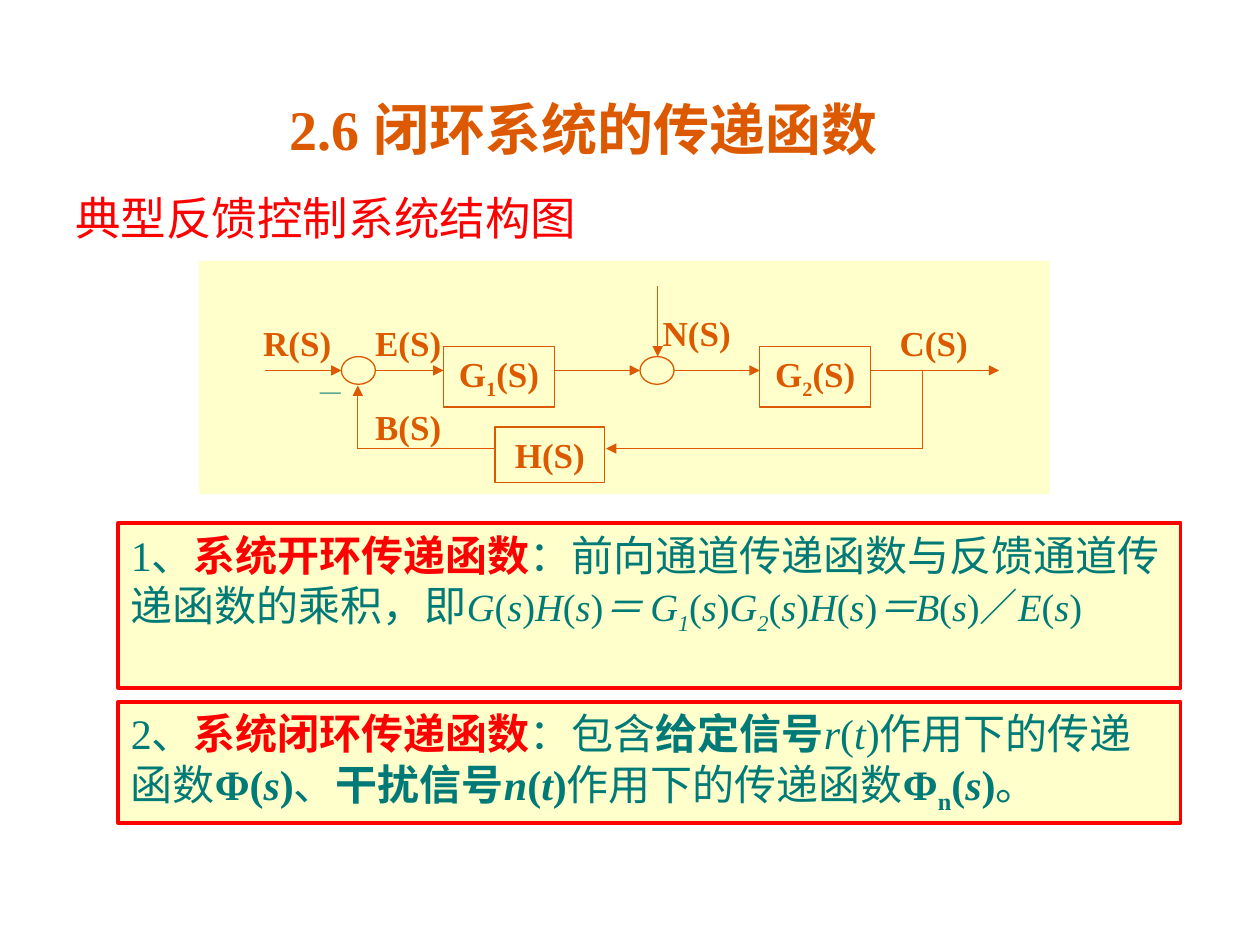
from itertools import groupby
from typing import NamedTuple

from lxml import etree
from pptx import Presentation
from pptx.dml.color import RGBColor
from pptx.enum.shapes import MSO_CONNECTOR, MSO_SHAPE
from pptx.enum.text import MSO_ANCHOR, MSO_AUTO_SIZE, PP_ALIGN
from pptx.oxml.ns import qn
from pptx.util import Inches, Pt

RECT, OVAL = MSO_SHAPE.RECTANGLE, MSO_SHAPE.OVAL
STRAIGHT = MSO_CONNECTOR.STRAIGHT
LEFT, CENTER = PP_ALIGN.LEFT, PP_ALIGN.CENTER
TOP, GROW = MSO_ANCHOR.TOP, MSO_AUTO_SIZE.SHAPE_TO_FIT_TEXT

ORANGE = RGBColor(0xDC, 0x59, 0x00)
RED = RGBColor(0xFF, 0x00, 0x00)
TEAL = RGBColor(0x00, 0x7A, 0x77)
CREAM = RGBColor(0xFF, 0xFF, 0xCC)
SERIF = "Times New Roman"


class Run(NamedTuple):
    text: str
    size: float = 24
    color: RGBColor = TEAL
    bold: bool = False
    italic: bool = False
    sub: bool = False
    font: str = SERIF


class Area(NamedTuple):
    x: float
    y: float
    w: float
    h: float


class Arrow(NamedTuple):
    x1: float
    y1: float
    x2: float
    y2: float
    head: bool = True


def math(text: str, size: float = 24, bold: bool = False) -> list[Run]:
    """Slanted letters, upright brackets and lowered digits."""
    def kind(c: str) -> tuple[bool, bool]:
        return c not in "()／Φ", c.isdigit()

    return [Run("".join(part), size, bold=bold, italic=slant, sub=low)
            for (slant, low), part in groupby(text, kind)]


def label(text: str) -> list[Run]:
    """Block diagram lettering with lowered digits."""
    return [Run("".join(part), 20, ORANGE, True, sub=low)
            for low, part in groupby(text, str.isdigit)]


def write(shape, runs: list[Run], align=LEFT, wrap: bool = True) -> None:
    frame = shape.text_frame
    for key, value in {"word_wrap": wrap, "auto_size": GROW,
                       "vertical_anchor": TOP}.items():
        setattr(frame, key, value)
    para = frame.paragraphs[0]
    para.alignment = align
    for item in runs:
        run = para.add_run()
        run.text = item.text
        look = {"name": item.font, "size": Pt(item.size),
                "bold": item.bold, "italic": item.italic}
        for key, value in look.items():
            setattr(run.font, key, value)
        run.font.color.rgb = item.color
        if item.sub:
            run._r.get_or_add_rPr().set("baseline", "-25000")


def draw(slide, form, area: Area, fill=None, line=None, width: float = 0.75):
    shape = slide.shapes.add_shape(form, *map(Inches, area))
    shape.shadow.inherit = False
    if fill is None:
        shape.fill.background()
    else:
        shape.fill.solid()
        shape.fill.fore_color.rgb = fill
    if line is None:
        shape.line.fill.background()
    else:
        shape.line.color.rgb = line
        shape.line.width = Pt(width)
    return shape


def note(slide, area: Area, runs: list[Run], align=LEFT, wrap: bool = True) -> None:
    write(slide.shapes.add_textbox(*map(Inches, area)), runs, align, wrap)


def link(slide, arrow: Arrow) -> None:
    line = slide.shapes.add_connector(STRAIGHT, *map(Inches, arrow[:4]))
    line.line.color.rgb = ORANGE
    line.line.width = Pt(0.75)
    if arrow.head:
        etree.SubElement(line.line._get_or_add_ln(), qn("a:tailEnd"), type="triangle")
    etree.SubElement(line._element.spPr, qn("a:effectLst"))


# Signal path heights and the places of its turns
MAIN, BACK = 2.94, 3.56
SUM, NOISE, TAP = 2.84, 5.22, 7.32

BLOCKS = [
    ("G1(S)", Area(3.52, 2.75, 0.88, 0.48)),
    ("G2(S)", Area(6.03, 2.75, 0.88, 0.48)),
    ("H(S)", Area(3.93, 3.39, 0.87, 0.44)),
]
ARROWS = [
    Arrow(2.1, MAIN, 2.71, MAIN),
    Arrow(2.98, MAIN, 3.52, MAIN),
    Arrow(4.4, MAIN, 5.08, MAIN),
    Arrow(NOISE, 2.27, NOISE, 2.83),
    Arrow(5.35, MAIN, 6.03, MAIN),
    Arrow(6.91, MAIN, 7.93, MAIN),
    Arrow(TAP, MAIN, TAP, BACK, False),
    Arrow(TAP, BACK, 4.81, BACK),
    Arrow(3.93, BACK, SUM, BACK, False),
    Arrow(SUM, BACK, SUM, 3.06),
]
SIGNALS = [
    ("N(S)", 5.01, 2.42, CENTER),
    ("R(S)", 1.99, 2.5, LEFT),
    ("C(S)", 6.89, 2.5, CENTER),
    ("B(S)", 2.72, 3.17, CENTER),
    ("E(S)", 2.72, 2.5, CENTER),
]
OPEN = [
    Run("1、"), Run("系统开环传递函数", color=RED, bold=True),
    Run("：前向通道传递函数与反馈通道传递函数的乘积，即"),
    *math("G(s)H(s)＝ G1(s)G2(s)H(s)＝B(s)／E(s)", 22),
]
CLOSED = [
    Run("2、"), Run("系统闭环传递函数", color=RED, bold=True),
    Run("：包含"), Run("给定信号", bold=True),
    *math("r(t)"), Run("作用下的传递函数"),
    *math("Φ(s)", bold=True), Run("、"), Run("干扰信号", bold=True),
    *math("n(t)", bold=True), Run("作用下的传递函数"),
    Run("Φ", bold=True), Run("n", bold=True, sub=True),
    *math("(s)", bold=True), Run("。"),
]


def main() -> None:
    deck = Presentation()
    deck.slide_width, deck.slide_height = Inches(10), Inches(7.5)
    slide = deck.slides.add_slide(deck.slide_layouts[6])

    # Block diagram
    draw(slide, RECT, Area(1.58, 2.07, 6.75, 1.85), CREAM)
    for arrow in ARROWS:
        link(slide, arrow)
    for x in (2.71, 5.08):
        draw(slide, OVAL, Area(x, 2.83, 0.27, 0.22), line=ORANGE)
    for text, area in BLOCKS:
        write(draw(slide, RECT, area, line=ORANGE), label(text), CENTER)
    for text, x, y, align in SIGNALS:
        note(slide, Area(x, y, 1.04, 0.44), label(text), align)
    note(slide, Area(2.44, 2.95, 0.47, 0.3), [Run("—", 12)])

    # Definitions
    for y, h, runs in ((4.15, 1.31, OPEN), (5.57, 0.96, CLOSED)):
        write(draw(slide, RECT, Area(0.94, y, 8.43, h), CREAM, RED, 2.25), runs)

    # Headings
    note(slide, Area(2.14, 0.7, 4.98, 0.64),
         [Run("2.6 闭环系统的传递函数", 32, ORANGE, True)], CENTER, False)
    note(slide, Area(0.5, 1.46, 5.08, 0.54),
         [Run("典型反馈控制系统结构图", 26, RED, font="Arial")])

    deck.save("out.pptx")


if __name__ == "__main__":
    main()
